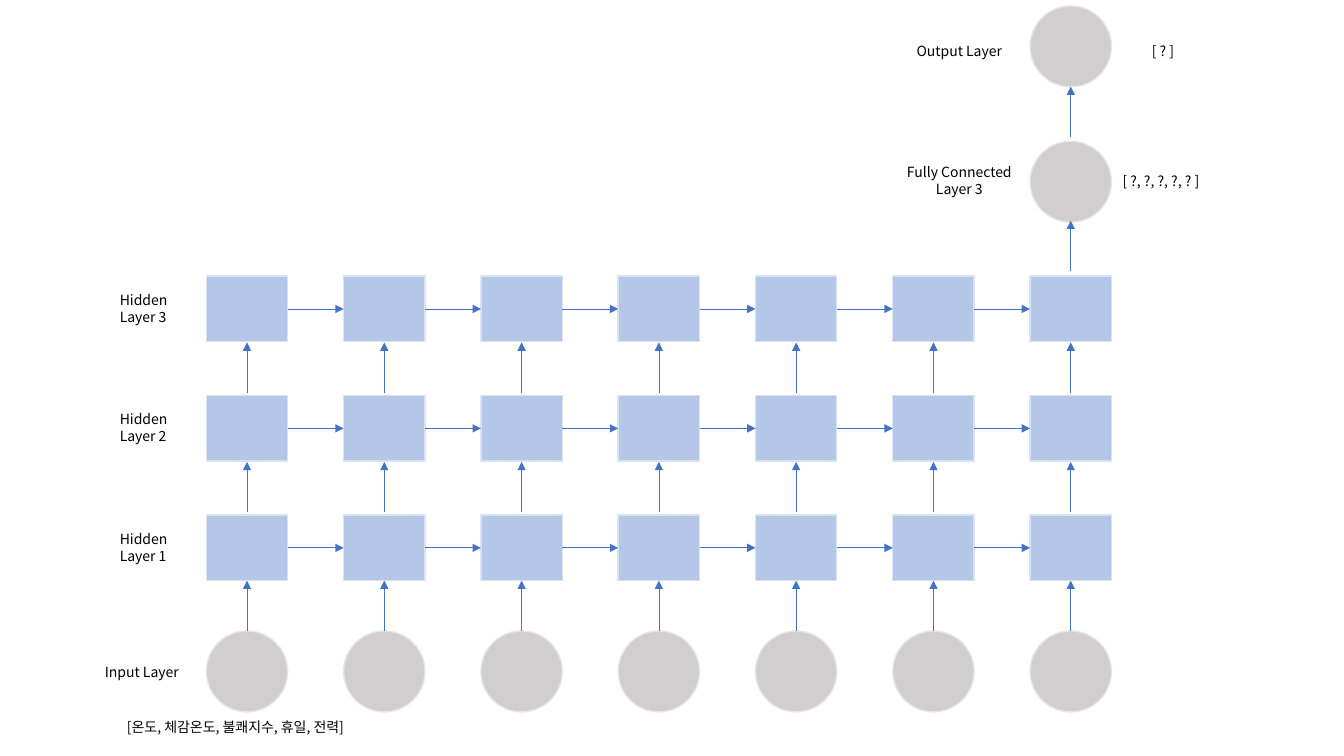
"""Build a slide of a stacked recurrent network with three hidden layers."""
from lxml.etree import SubElement
from pptx import Presentation
from pptx.dml.color import RGBColor
from pptx.enum.shapes import MSO_CONNECTOR as Connector, MSO_SHAPE as Preset
from pptx.enum.text import MSO_AUTO_SIZE as AutoSize, PP_ALIGN as Align
from pptx.oxml.ns import qn
from pptx.util import Cm, Pt

FONT = "Noto Sans CJK KR"
STEPS = 7
STEP_LEFT, STEP_PITCH = 5.2, 3.46
NODE_WIDTH, CELL_HEIGHT, CIRCLE_HEIGHT = 2.05, 1.65, 2.04
HIDDEN_TOP, HIDDEN_PITCH = 6.96, 3.01
INPUT_TOP, CONNECTED_TOP, OUTPUT_TOP = 15.9, 3.56, 0.15
RISE = 1.27

LABELS = [
    ("Output Layer", 22.5, 0.94, 3.35, 0.69, Align.CENTER),
    ("[ ? ]", 28.78, 0.94, 2.84, 0.69, Align.LEFT),
    ("Fully Connected Layer 3", 22.5, 3.99, 3.35, 1.12, Align.CENTER),
    ("[ ?, ?, ?, ?, ? ]", 28.04, 4.22, 2.84, 0.69, Align.LEFT),
    ("Input Layer", 2.24, 16.59, 2.67, 0.69, Align.CENTER),
    ("[온도, 체감온도, 불쾌지수, 휴일, 전력]", 2.95, 17.98, 6.53, 0.69, Align.LEFT),
]


def color(hex_string):
    """Return the colour for a hex string."""
    return RGBColor.from_string(hex_string)


def add_node(slide, preset, left, top, height, fill, line):
    """Add one filled node of the network."""
    shape = slide.shapes.add_shape(
        preset, Cm(left), Cm(top), Cm(NODE_WIDTH), Cm(height))
    shape.shadow.inherit = False
    shape.fill.solid()
    shape.fill.fore_color.rgb = color(fill)
    shape.line.color.rgb = color(line)
    shape.line.width = Pt(1)


def add_circle(slide, left, top):
    """Add a grey input or output neuron."""
    add_node(slide, Preset.OVAL, left, top, CIRCLE_HEIGHT, "D0CECE", "E7E6E6")


def add_cell(slide, left, top):
    """Add a blue hidden cell."""
    add_node(slide, Preset.RECTANGLE, left, top, CELL_HEIGHT, "B4C7E7", "DAE3F3")


def add_arrow(slide, start_x, start_y, end_x, end_y):
    """Add a thin arrow between two points."""
    arrow = slide.shapes.add_connector(
        Connector.STRAIGHT, Cm(start_x), Cm(start_y), Cm(end_x), Cm(end_y))
    arrow.line.color.rgb = color("4472C4")
    arrow.line.width = Pt(0.5)
    SubElement(arrow.line._get_or_add_ln(), qn("a:tailEnd"), type="triangle")
    SubElement(arrow._element.spPr, qn("a:effectLst"))


def add_rising_arrow(slide, left, start_y):
    """Add an upward arrow on the centre of a column."""
    center = left + NODE_WIDTH / 2
    add_arrow(slide, center, start_y, center, start_y - RISE)


def add_label(slide, text, left, top, width, height, alignment):
    """Add a small text label."""
    box = slide.shapes.add_textbox(Cm(left), Cm(top), Cm(width), Cm(height))
    frame = box.text_frame
    frame.word_wrap = True
    frame.auto_size = AutoSize.SHAPE_TO_FIT_TEXT
    frame.text = text
    paragraph = frame.paragraphs[0]
    paragraph.alignment = alignment
    for run in paragraph.runs:
        run.font.name = FONT
        run.font.size = Pt(10)
        run.font.color.rgb = color("000000")
        properties = run.font._element
        SubElement(properties, qn("a:ea"), typeface=FONT)


def add_hidden_layer(slide, number, lefts):
    """Add a labelled row of cells joined by arrows."""
    top = HIDDEN_TOP + (3 - number) * HIDDEN_PITCH
    arrow_y = top + CELL_HEIGHT / 2
    for left in lefts:
        add_cell(slide, left, top)
        if number > 1:
            add_rising_arrow(slide, left, top + HIDDEN_PITCH - 0.07)
    for left, following in zip(lefts, lefts[1:]):
        add_arrow(slide, left + NODE_WIDTH, arrow_y, following, arrow_y)
    add_label(slide, f"Hidden Layer {number}", 2.77, top + 0.26, 2.06, 1.12, Align.LEFT)


def main():
    """Build and save the slide."""
    presentation = Presentation()
    presentation.slide_width = Cm(33.87)
    presentation.slide_height = Cm(19.05)
    slide = presentation.slides.add_slide(presentation.slide_layouts[6])
    lefts = [STEP_LEFT + step * STEP_PITCH for step in range(STEPS)]
    for left in lefts:
        add_circle(slide, left, INPUT_TOP)
        add_rising_arrow(slide, left, INPUT_TOP)
    for number in (1, 2, 3):
        add_hidden_layer(slide, number, lefts)
    for top, arrow_start in ((CONNECTED_TOP, 6.83), (OUTPUT_TOP, 3.45)):
        add_circle(slide, lefts[-1], top)
        add_rising_arrow(slide, lefts[-1], arrow_start)
    for label in LABELS:
        add_label(slide, *label)
    presentation.save("out.pptx")


if __name__ == "__main__":
    main()
